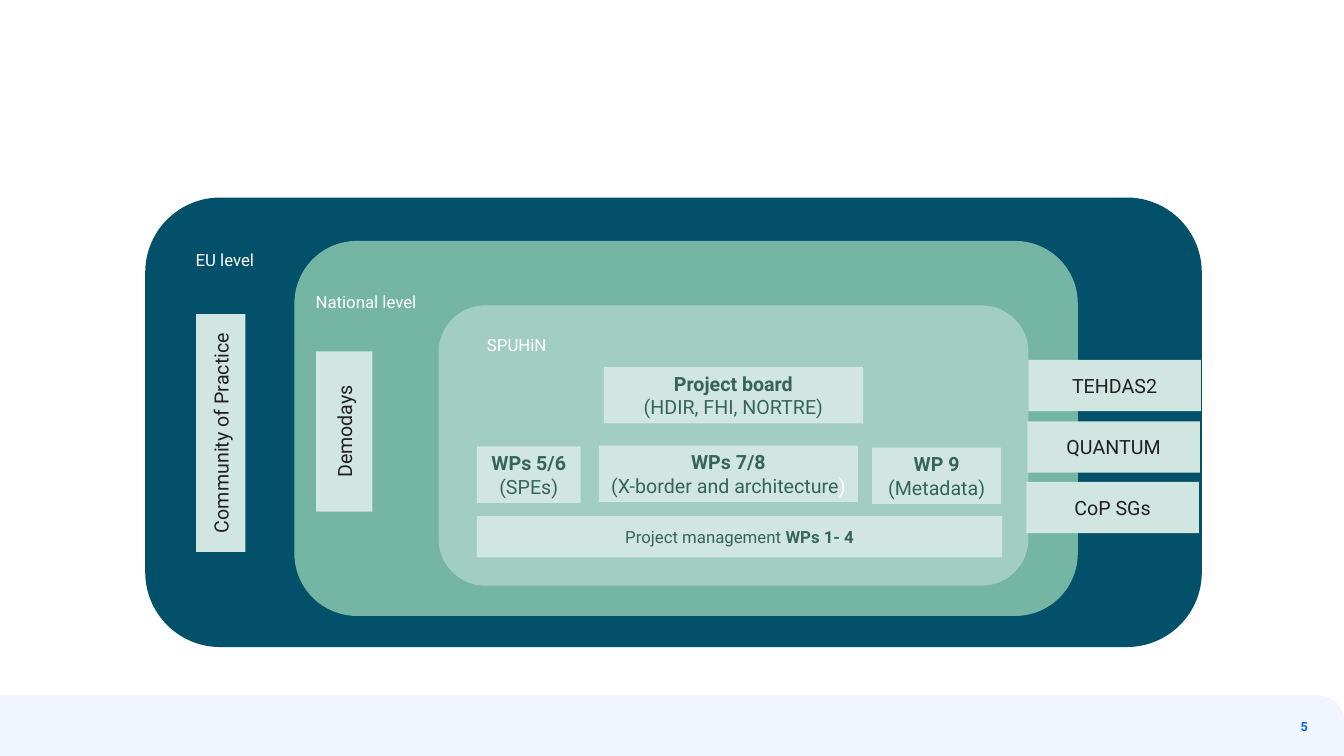
from pptx import Presentation
from pptx.dml.color import RGBColor
from pptx.enum import shapes, text
from pptx.util import Inches, Pt

WHITE, INK, GREEN, PALE = "FFFFFF", "202020", "366558", "D1E6E0"
KIND = shapes.MSO_SHAPE
ALIGN = text.PP_ALIGN

deck = Presentation()
deck.slide_width, deck.slide_height = Inches(13.33), Inches(7.5)
slide = deck.slides.add_slide(deck.slide_layouts[6])


def draw(kind, area, fill):
    shape = slide.shapes.add_shape(kind, *map(Inches, area))
    shape.shadow.inherit = False
    shape.fill.solid()
    shape.fill.fore_color.rgb = RGBColor.from_string(fill)
    shape.line.fill.background()
    return shape


def write(lines, area=None, shape=None, size=14, color=INK, bold=False,
          align=ALIGN.CENTER, anchor=text.MSO_ANCHOR.MIDDLE, wrap=True):
    if shape is None:
        shape = slide.shapes.add_textbox(*map(Inches, area))
        frame = shape.text_frame
        frame.margin_left = frame.margin_right = 0
        frame.margin_top = frame.margin_bottom = 0
    frame = shape.text_frame
    frame.word_wrap = wrap
    frame.vertical_anchor = anchor
    for i, line in enumerate(lines):
        para = frame.add_paragraph() if i else frame.paragraphs[0]
        para.alignment = align
        for part in [line] if isinstance(line, str) else line:
            words, style = (part, {}) if isinstance(part, str) else part
            run = para.add_run()
            run.text = words
            font = run.font
            font.name, font.size = "Roboto", Pt(size)
            font.bold = style.get("bold", bold)
            font.color.rgb = RGBColor.from_string(style.get("color", color))


band = draw(KIND.ROUND_1_RECTANGLE, (0, 6.9, 13.33, 0.6), "F0F5FF")
band.adjustments[0] = 0.417
write(["5"], (11.39, 7.07, 1.58, 0.27), size=9, color="0069E7", bold=True,
      align=ALIGN.RIGHT)

levels = [
    ("EU level", (1.44, 1.96, 10.48, 4.46), "025069", (1.94, 2.48, 0.59, 0.2)),
    ("National level", (2.92, 2.39, 7.77, 3.72), "74B5A3", (3.13, 2.89, 2.18, 0.2)),
    ("SPUHiN", (4.35, 3.03, 5.85, 2.78), "A2CEC2", (4.83, 3.32, 0.59, 0.2)),
]
for name, area, fill, spot in levels:
    draw(KIND.ROUNDED_RECTANGLE, area, fill)
    write([name], spot, size=12, color=WHITE, align=ALIGN.LEFT,
          anchor=text.MSO_ANCHOR.TOP, wrap=False)

strong = {"bold": True}
plan = draw(KIND.RECTANGLE, (4.73, 5.12, 5.21, 0.41), PALE)
write([["Project management ", ("WPs 1- 4", strong)]], shape=plan, size=12, color=GREEN)

teams = [
    (4.73, 4.43, 1.03, [[("WPs 5/6", strong)], "(SPEs)"]),
    (5.94, 4.42, 2.57, [[("WPs 7/8", strong)],
                        ["(X-border and architecture", (")", {"color": WHITE})]]),
    (8.65, 4.44, 1.28, [[("WP 9", strong), " (Metadata)"]]),
    (5.99, 3.64, 2.57, [[("Project board", strong)], "(HDIR, FHI, NORTRE)"]),
]
for left, top, width, lines in teams:
    box = draw(KIND.RECTANGLE, (left, top, width, 0.56), PALE)
    write(lines, shape=box, color=GREEN)

sides = [
    ("Demodays", (2.62, 4, 1.59, 0.56), 270),
    ("Community of Practice", (1.01, 4.05, 2.36, 0.49), 270),
    ("TEHDAS2", (10.2, 3.57, 1.71, 0.51), 0),
    ("QUANTUM", (10.19, 4.18, 1.71, 0.51), 0),
    ("CoP SGs", (10.18, 4.78, 1.71, 0.51), 0),
]
for name, area, turn in sides:
    box = draw(KIND.RECTANGLE, area, PALE)
    box.rotation = turn
    write([name], shape=box)

deck.save("out.pptx")
